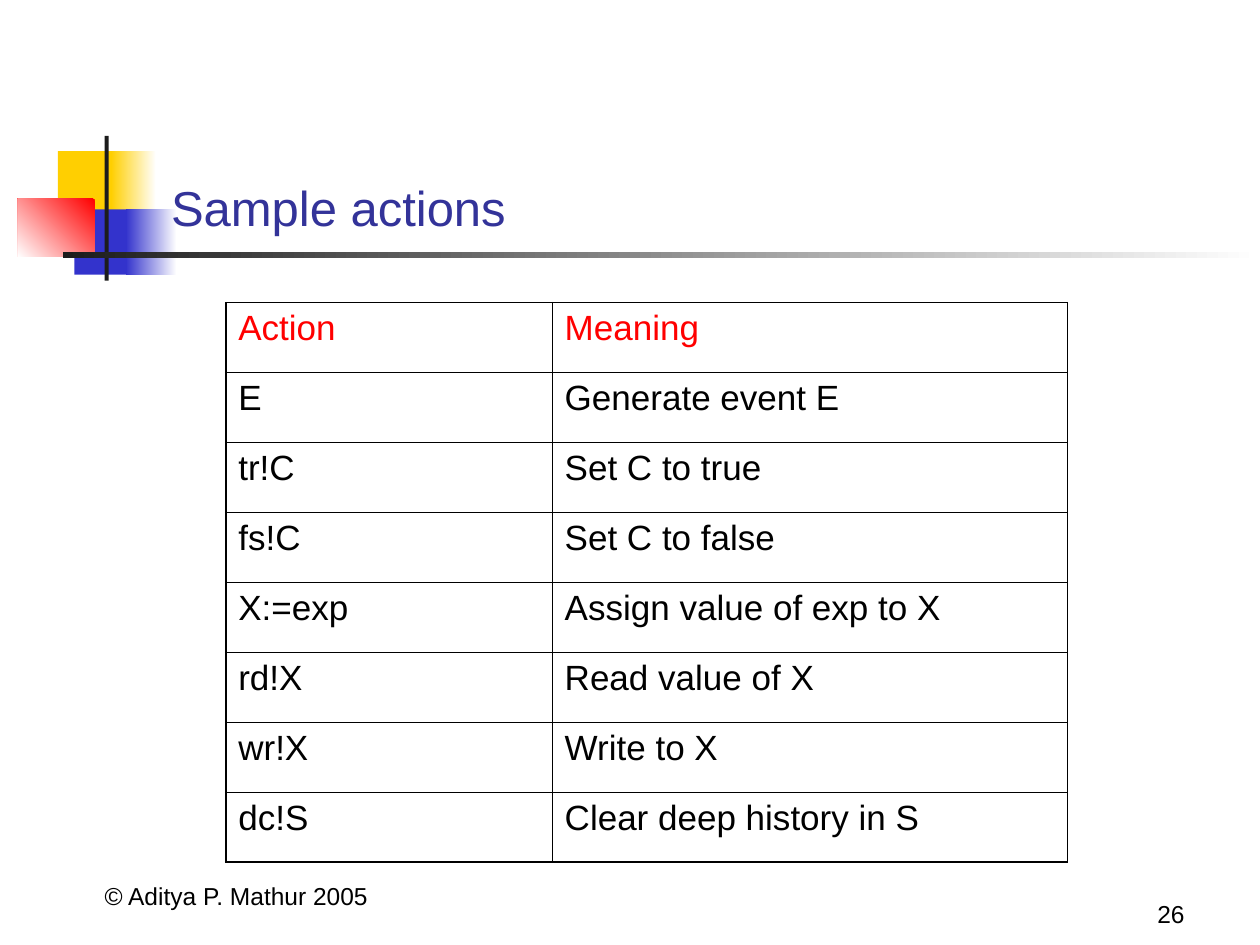
from dataclasses import dataclass

from lxml import etree
from pptx import Presentation
from pptx.dml.color import RGBColor
from pptx.enum import shapes, text
from pptx.oxml import ns
from pptx.util import Cm, Pt

WHITE = RGBColor(0xFF, 0xFF, 0xFF)
BLACK = RGBColor(0x00, 0x00, 0x00)
YELLOW = RGBColor(0xFF, 0xCF, 0x01)
BLUE = RGBColor(0x33, 0x33, 0xCC)
RED = RGBColor(0xFF, 0x00, 0x00)
CHARCOAL = RGBColor(0x1C, 0x1C, 0x1C)
INDIGO = RGBColor(0x33, 0x33, 0x99)
FONT = "Arial"
THIN, THICK = 0.45, 1.08


@dataclass(frozen=True)
class Block:
    left: float
    top: float
    width: float
    height: float
    start: RGBColor
    end: RGBColor | None = None
    angle: int = 180


@dataclass(frozen=True)
class Label:
    left: float
    top: float
    width: float
    height: float
    wording: str
    size: int
    color: RGBColor
    align: text.PP_ALIGN


ORNAMENT = [
    Block(1.17, 3.05, 1.22, 1.32, YELLOW),
    Block(2.24, 3.05, 0.91, 1.32, WHITE, YELLOW),
    Block(1.5, 4.22, 1.17, 1.32, BLUE),
    Block(2.54, 4.22, 1.02, 1.32, WHITE, BLUE),
    Block(0.36, 4.01, 1.55, 1.17, RED, WHITE, 225),
    Block(2.11, 2.74, 0.08, 2.92, CHARCOAL),
    Block(1.27, 5.08, 24.13, 0.13, WHITE, CHARCOAL),
]

LABELS = [
    Label(3.2, 3.23, 21.64, 1.65, "Sample actions", 28, INDIGO, text.PP_ALIGN.LEFT),
    Label(0.74, 17.2, 8.05, 1.27, "© Aditya P. Mathur 2005", 14, BLACK, text.PP_ALIGN.CENTER),
    Label(18.85, 17.58, 5.28, 1.27, "26", 14, BLACK, text.PP_ALIGN.RIGHT),
]

ACTIONS = [
    ("Action", "Meaning"),
    ("E", "Generate event E"),
    ("tr!C", "Set C to true"),
    ("fs!C", "Set C to false"),
    ("X:=exp", "Assign value of exp to X"),
    ("rd!X", "Read value of X"),
    ("wr!X", "Write to X"),
    ("dc!S", "Clear deep history in S"),
]
COLUMN_WIDTHS = (6.58, 10.39)
ROW_HEIGHT = 1.41


def draw_block(slide, block: Block) -> None:
    rect = slide.shapes.add_shape(
        shapes.MSO_SHAPE.RECTANGLE,
        Cm(block.left), Cm(block.top), Cm(block.width), Cm(block.height),
    )
    rect.shadow.inherit = False
    rect.line.fill.background()
    if block.end is None:
        rect.fill.solid()
        rect.fill.fore_color.rgb = block.start
        return
    rect.fill.gradient()
    rect.fill.gradient_angle = block.angle
    for stop, color in zip(rect.fill.gradient_stops, (block.start, block.end)):
        stop.color.rgb = color


def format_runs(paragraph, size: int, color: RGBColor) -> None:
    for run in paragraph.runs:
        run.font.name = FONT
        run.font.size = Pt(size)
        run.font.color.rgb = color


def draw_label(slide, label: Label) -> None:
    frame = slide.shapes.add_textbox(
        Cm(label.left), Cm(label.top), Cm(label.width), Cm(label.height)
    ).text_frame
    frame.word_wrap = True
    frame.vertical_anchor = text.MSO_ANCHOR.BOTTOM
    frame.text = label.wording
    frame.paragraphs[0].alignment = label.align
    format_runs(frame.paragraphs[0], label.size, label.color)


def set_borders(cell, thick_sides: dict[str, bool]) -> None:
    properties = cell._tc.get_or_add_tcPr()
    for position, (side, thick) in enumerate(thick_sides.items()):
        width = Pt(THICK if thick else THIN)
        border = etree.Element(ns.qn(f"a:ln{side}"), w=str(width))
        fill = etree.SubElement(border, ns.qn("a:solidFill"))
        etree.SubElement(fill, ns.qn("a:srgbClr"), val=str(BLACK))
        properties.insert(position, border)


def draw_actions(slide) -> None:
    last_row, last_column = len(ACTIONS) - 1, len(COLUMN_WIDTHS) - 1
    table = slide.shapes.add_table(
        len(ACTIONS), len(COLUMN_WIDTHS), Cm(4.55), Cm(6.1),
        Cm(sum(COLUMN_WIDTHS)), Cm(ROW_HEIGHT * len(ACTIONS)),
    ).table
    table.first_row = False
    table.horz_banding = False
    for column, width in zip(table.columns, COLUMN_WIDTHS):
        column.width = Cm(width)
    for r, entries in enumerate(ACTIONS):
        table.rows[r].height = Cm(ROW_HEIGHT)
        for c, entry in enumerate(entries):
            cell = table.cell(r, c)
            cell.fill.background()
            cell.text_frame.text = entry
            format_runs(cell.text_frame.paragraphs[0], 20, RED if r == 0 else BLACK)
            set_borders(cell, {
                "L": c == 0, "R": c == last_column,
                "T": r == 0, "B": r == last_row,
            })


def main() -> None:
    deck = Presentation()
    deck.slide_width, deck.slide_height = Cm(25.4), Cm(19.05)
    slide = deck.slides.add_slide(deck.slide_layouts[6])
    for block in ORNAMENT:
        draw_block(slide, block)
    for label in LABELS:
        draw_label(slide, label)
    draw_actions(slide)
    deck.save("out.pptx")


if __name__ == "__main__":
    main()
